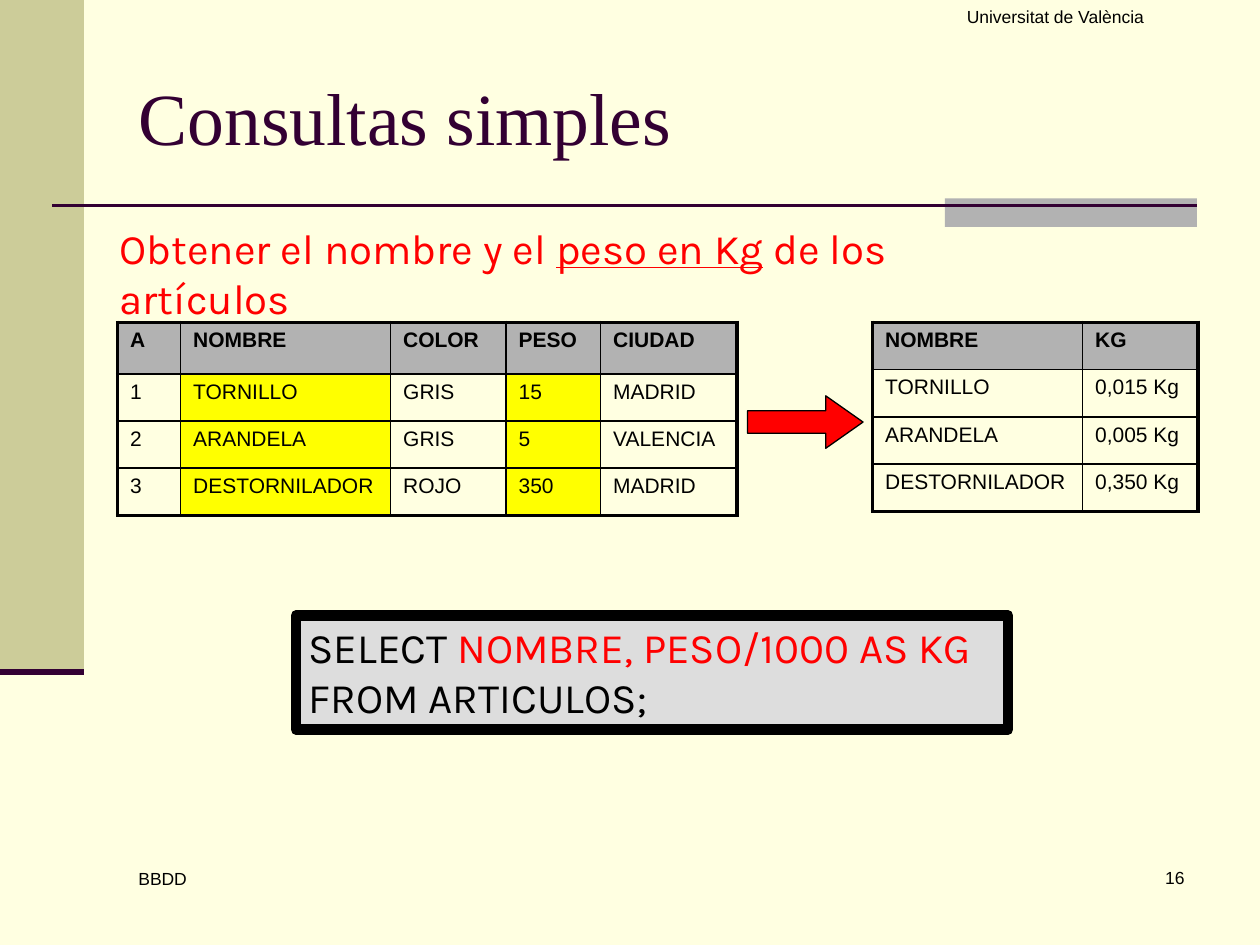
from dataclasses import dataclass
from pptx import Presentation
from pptx.dml.color import RGBColor
from pptx.enum.shapes import MSO_CONNECTOR as Connector, MSO_SHAPE as Shape
from pptx.enum.text import MSO_ANCHOR as Anchor, PP_ALIGN as Align
from pptx.oxml.ns import qn
from pptx.util import Inches, Pt
from lxml.etree import SubElement

COLUMNS, ROWS = 120, 90
WIDTH, HEIGHT = Inches(10), Inches(7.5)


@dataclass(frozen=True)
class Theme:
    paper: str = "FFFFE1"
    olive: str = "CCCC99"
    grey: str = "B2B2B2"
    pale: str = "DDDDDD"
    plum: str = "330033"
    ink: str = "000000"
    red: str = "FF0000"
    yellow: str = "FFFF00"
    plain: str = "Arial"
    accent: str = "Karla"
    heading: str = "Times New Roman"
    small: float = 10
    cell: float = 12
    body: float = 24
    title: float = 42
    thin: float = 1
    thick: float = 2.25


THEME = Theme()


@dataclass(frozen=True)
class Box:
    left: float
    top: float
    width: float
    height: float

    def inner(self, left, top, width, height):
        return Box(self.left + left * self.width, self.top + top * self.height,
                   width * self.width, height * self.height)

    def lengths(self):
        return (across(self.left), down(self.top), across(self.width), down(self.height))


def across(columns):
    return round(WIDTH * columns / COLUMNS)


def down(rows):
    return round(HEIGHT * rows / ROWS)


def color(value):
    return RGBColor.from_string(value)


def apply(target, values):
    for name, value in values.items():
        setattr(target, name, value)


def write(frame, paragraphs, size, font, align=Align.LEFT, anchor=Anchor.TOP):
    apply(frame, {"word_wrap": True, "vertical_anchor": anchor})
    for index, spans in enumerate(paragraphs):
        para = frame.add_paragraph() if index else frame.paragraphs[0]
        para.alignment = align
        for text, ink, extra in spans:
            span = para.add_run()
            span.text = text
            apply(span.font, {"size": Pt(size), "name": font, **extra})
            span.font.color.rgb = color(ink)


def add_block(page, box, fill, line=None, kind=Shape.RECTANGLE):
    block = page.shapes.add_shape(kind, *box.lengths())
    block.shadow.inherit = False
    block.fill.solid()
    block.fill.fore_color.rgb = color(fill)
    if line:
        block.line.color.rgb = color(THEME.ink)
        block.line.width = Pt(line)
    else:
        block.line.fill.background()
    return block


def add_rule(page, left, right, row, weight):
    rule = page.shapes.add_connector(Connector.STRAIGHT, across(left), down(row),
                                     across(right), down(row))
    rule.line.color.rgb = color(THEME.plum)
    rule.line.width = Pt(weight)
    SubElement(rule._element.spPr, qn("a:effectLst"))


def add_label(page, box, spans, size, font, align=Align.LEFT):
    label = page.shapes.add_textbox(*box.lengths())
    write(label.text_frame, [spans], size, font, align)


def add_decoration(page, box):
    band = box.inner(0, 0, 1 / 15, 32 / 45)
    add_block(page, band, THEME.olive)
    add_block(page, box.inner(0.75, 0.21, 0.2, 0.03), THEME.grey)
    add_rule(page, 5, 114, 19.6, 1.5)
    add_rule(page, band.left, band.left + band.width, band.height, 3.5)


def add_title(page, box):
    title = page.shapes.title
    apply(title, dict(zip(("left", "top", "width", "height"), box.lengths())))
    write(title.text_frame, [[("Consultas simples", THEME.plum, {})]],
          THEME.title, THEME.heading, anchor=Anchor.MIDDLE)


def add_captions(page):
    captions = [
        ("16", Box(89, 82, 25, 6), Align.RIGHT),
        ("Universitat de València", Box(81, 0, 39, 6), Align.CENTER),
        ("BBDD", Box(12, 82.1, 26, 6), Align.LEFT),
    ]
    for text, box, align in captions:
        add_label(page, box, [(text, THEME.ink, {})], THEME.small, THEME.plain, align)


def add_borders(cell, weights):
    properties = cell._tc.get_or_add_tcPr()
    for side, weight in weights.items():
        border = SubElement(properties, qn(f"a:ln{side}"), w=str(Pt(weight)))
        fill = SubElement(border, qn("a:solidFill"))
        SubElement(fill, qn("a:srgbClr"), val=THEME.ink)


def add_grid(page, left, top, widths, heights, records, marked=()):
    box = Box(left, top, sum(widths), sum(heights))
    table = page.shapes.add_table(len(heights), len(widths), *box.lengths()).table
    apply(table, {"first_row": False, "horz_banding": False})
    for column, width in zip(table.columns, widths):
        column.width = across(width)
    for row, height in zip(table.rows, heights):
        row.height = down(height)
    last_row, last_column = len(heights) - 1, len(widths) - 1
    for y, record in enumerate(records):
        for x, text in enumerate(record):
            cell = table.cell(y, x)
            outer = {"L": x == 0, "R": x == last_column, "T": y == 0, "B": y == last_row}
            add_borders(cell, {side: THEME.thick if edge else THEME.thin
                               for side, edge in outer.items()})
            fill = THEME.grey if y == 0 else THEME.yellow if x in marked else None
            if fill:
                cell.fill.solid()
                cell.fill.fore_color.rgb = color(fill)
            else:
                cell.fill.background()
            write(cell.text_frame, [[(text, THEME.ink, {"bold": y == 0})]],
                  THEME.cell, THEME.plain)


def add_query(page, box):
    query = add_block(page, box, THEME.pale, 6)
    lines = [
        [("SELECT ", THEME.ink, {}), ("NOMBRE, PESO/1000 AS KG", THEME.red, {})],
        [("FROM ARTICULOS;", THEME.ink, {})],
    ]
    write(query.text_frame, lines, THEME.body, THEME.accent)


def add_arrow(page, box):
    arrow = add_block(page, box, THEME.red, 0.75, Shape.RIGHT_ARROW)
    arrow.adjustments[0], arrow.adjustments[1] = 0.43, 0.71


def add_question(page, box):
    spans = [("Obtener el nombre y el ", THEME.red, {}),
             ("peso en Kg", THEME.red, {"underline": True}),
             (" de los artículos", THEME.red, {})]
    add_label(page, box, spans, THEME.body, THEME.accent)


def main():
    deck = Presentation()
    apply(deck, {"slide_width": WIDTH, "slide_height": HEIGHT})
    page = deck.slides.add_slide(deck.slide_layouts[5])
    page.background.fill.solid()
    page.background.fill.fore_color.rgb = color(THEME.paper)
    add_decoration(page, Box(0, 0, COLUMNS, ROWS))
    add_captions(page)
    add_title(page, Box(12, 3.6, 102, 15))
    add_query(page, Box(28.2, 58.6, 67.8, 10.9))
    add_grid(page, 83.1, 30.7, [20, 11], [4.5] * 4, [
        ("NOMBRE", "KG"),
        ("TORNILLO", "0,015 Kg"),
        ("ARANDELA", "0,005 Kg"),
        ("DESTORNILADOR", "0,350 Kg"),
    ])
    add_grid(page, 11.2, 30.7, [6, 20, 11, 9, 13], [4.9] + [4.5] * 3, [
        ("A", "NOMBRE", "COLOR", "PESO", "CIUDAD"),
        ("1", "TORNILLO", "GRIS", "15", "MADRID"),
        ("2", "ARANDELA", "GRIS", "5", "VALENCIA"),
        ("3", "DESTORNILADOR", "ROJO", "350", "MADRID"),
    ], marked=(1, 3))
    add_arrow(page, Box(71.2, 37.7, 11, 5))
    add_question(page, Box(10.2, 20.6, 91.8, 6))
    deck.save("out.pptx")


if __name__ == "__main__":
    main()
